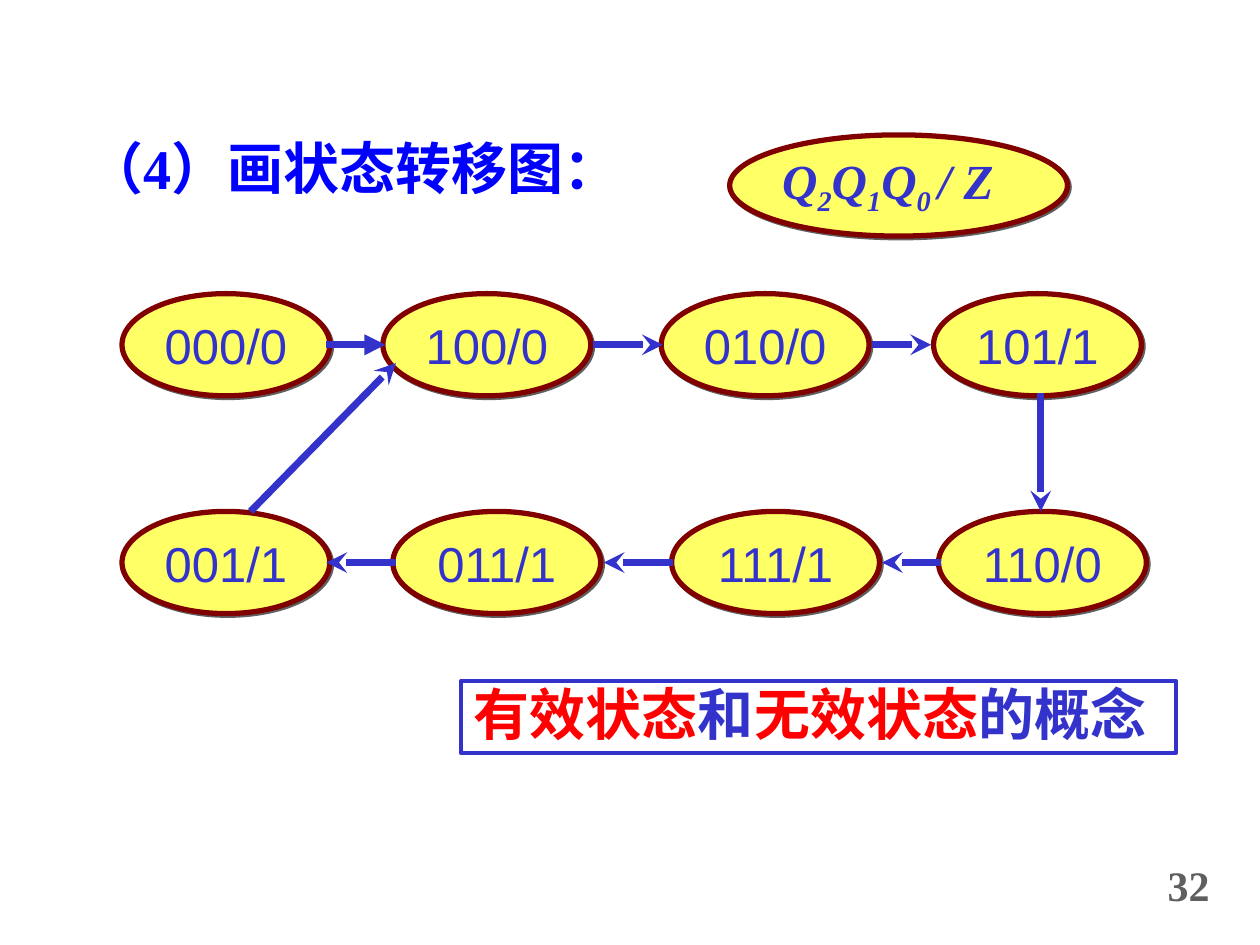
from lxml.etree import SubElement
from pptx import Presentation
from pptx.dml.color import RGBColor
from pptx.enum.shapes import MSO_CONNECTOR as CONN, MSO_SHAPE as SHAPE
from pptx.enum.text import MSO_ANCHOR as ANCHOR, PP_ALIGN as ALIGN
from pptx.oxml.ns import qn
from pptx.util import Cm, Pt

COLORS = {"title": "0000FF", "ink": "3333CC", "red": "FF0000", "gray": "5F5F5F",
          "fill": "FFFF66", "rim": "800000"}
SERIF, SANS = "Times New Roman", "Arial"
STATE_W, STATE_H = 4.19, 2.06


def rgb(name):
    """Return the named palette colour."""
    return RGBColor.from_string(COLORS[name])


def style(r, size, color, font=SERIF, bold=True, italic=False):
    """Format one run."""
    f = r.font
    f.name, f.size, f.bold, f.italic = font, Pt(size), bold, italic
    f.color.rgb = rgb(color)


def prepare(tf, wrap=True, anchor=ANCHOR.TOP, align=ALIGN.LEFT, spacing=0.9):
    """Set the frame layout and return its first paragraph."""
    tf.word_wrap, tf.vertical_anchor = wrap, anchor
    p = tf.paragraphs[0]
    p.alignment, p.line_spacing = align, spacing
    return p


def add_title(slide, box, text):
    """Place the title with a hanging indent."""
    sp = slide.shapes.title
    sp.left, sp.top, sp.width, sp.height = map(Cm, box)
    p = prepare(sp.text_frame)
    p.text = text
    pPr = p._p.get_or_add_pPr()
    pPr.set("marL", str(Cm(0.95)))
    pPr.set("indent", str(-Cm(0.95)))
    style(p.runs[0], 32, "title")


def add_ellipse(slide, box):
    """Add a yellow ellipse with a hard offset shadow."""
    sp = slide.shapes.add_shape(SHAPE.OVAL, *map(Cm, box))
    sp.fill.solid()
    sp.fill.fore_color.rgb = rgb("fill")
    sp.line.color.rgb = rgb("rim")
    sp.line.width = Pt(3)
    sp.shadow.inherit = False
    effects = sp._element.spPr.find(qn("a:effectLst"))
    shadow = SubElement(effects, qn("a:outerShdw"), dist=str(Pt(1.4)),
                        dir="2700000", algn="ctr", rotWithShape="0")
    SubElement(shadow, qn("a:srgbClr"), val=COLORS["gray"])
    return sp


def add_arrow(slide, start, end, head="stealth"):
    """Draw a transition arrow between two points."""
    cx = slide.shapes.add_connector(CONN.STRAIGHT, *map(Cm, (*start, *end)))
    cx.line.color.rgb = rgb("ink")
    cx.line.width = Pt(4)
    SubElement(cx.line._get_or_add_ln(), qn("a:tailEnd"), type=head)
    SubElement(cx._element.spPr, qn("a:effectLst"))


def add_legend(slide, box):
    """Show the state and output notation inside an ellipse."""
    left, top, width, height = box
    add_ellipse(slide, box)
    tb = slide.shapes.add_textbox(Cm(left + 0.81), Cm(top + 0.2),
                                  Cm(width - 1.58), Cm(height - 0.56))
    p = prepare(tb.text_frame)
    parts = [("Q", 0), ("2", 1), ("Q", 0), ("1", 1), ("Q", 0), ("0 ", 1), ("/ Z", 0)]
    for text, lowered in parts:
        r = p.add_run()
        r.text = text
        style(r, 28, "ink", italic=True)
        if lowered:
            r._r.get_or_add_rPr().set("baseline", "-25000")


def add_state_row(slide, left, top, states, arrows):
    """Place a row of states and the arrows along its middle."""
    for offset, label in states:
        sp = add_ellipse(slide, (left + offset, top, STATE_W, STATE_H))
        p = prepare(sp.text_frame, False, ANCHOR.MIDDLE, ALIGN.CENTER, 1.0)
        p.text = label
        style(p.runs[0], 28, "ink", SANS, bold=False)
    y = top + STATE_H / 2
    for start, end, head in arrows:
        add_arrow(slide, (left + start, y), (left + end, y), head)


def add_diagram(slide, box):
    """Draw both state rows and the arrows joining them."""
    left, top, width, height = box
    low = top + height - STATE_H
    add_state_row(slide, left, top,
                  [(0, "000/0"), (5.26, "100/0"), (10.87, "010/0"), (16.36, "101/1")],
                  [(4.12, 5.31, "triangle"), (9.5, 10.9, "stealth"),
                   (15.12, 16.31, "stealth")])
    add_state_row(slide, left, low,
                  [(0, "001/1"), (5.46, "011/1"), (11.08, "111/1"), (16.46, "110/0")],
                  [(16.51, 15.32, "stealth"), (11.1, 9.71, "stealth"),
                   (5.52, 4.12, "stealth")])
    add_arrow(slide, (left + 18.52, top + 2), (left + 18.52, low))
    add_arrow(slide, (left + 2.59, low), (left + 5.52, top + 1.4))


def add_concept(slide, box):
    """Add the framed statement on valid and invalid states."""
    sp = slide.shapes.add_shape(SHAPE.RECTANGLE, *map(Cm, box))
    sp.fill.background()
    sp.line.color.rgb = rgb("ink")
    sp.line.width = Pt(2.25)
    sp.shadow.inherit = False
    p = prepare(sp.text_frame)
    for text, color in [("有效状态", "red"), ("和", "ink"),
                        ("无效状态", "red"), ("的概念", "ink")]:
        r = p.add_run()
        r.text = text
        style(r, 32, color)


def add_page_number(slide, box, number):
    """Write the page number."""
    tb = slide.shapes.add_textbox(*map(Cm, box))
    p = prepare(tb.text_frame)
    p.text = number
    style(p.runs[0], 24, "gray")


def main():
    """Build and save the slide."""
    prs = Presentation()
    prs.slide_width, prs.slide_height = Cm(25.4), Cm(19.05)
    slide = prs.slides.add_slide(prs.slide_layouts[5])
    add_title(slide, (1.5, 2.72, 11.5, 1.47), "（4）画状态转移图：")
    add_page_number(slide, (23.29, 17.32, 1.6, 1.17), "32")
    add_legend(slide, (14.71, 2.72, 6.81, 2.04))
    add_diagram(slide, (2.46, 5.92, 20.65, 6.45))
    add_concept(slide, (9.3, 13.72, 14.4, 1.47))
    prs.save("out.pptx")


if __name__ == "__main__":
    main()
